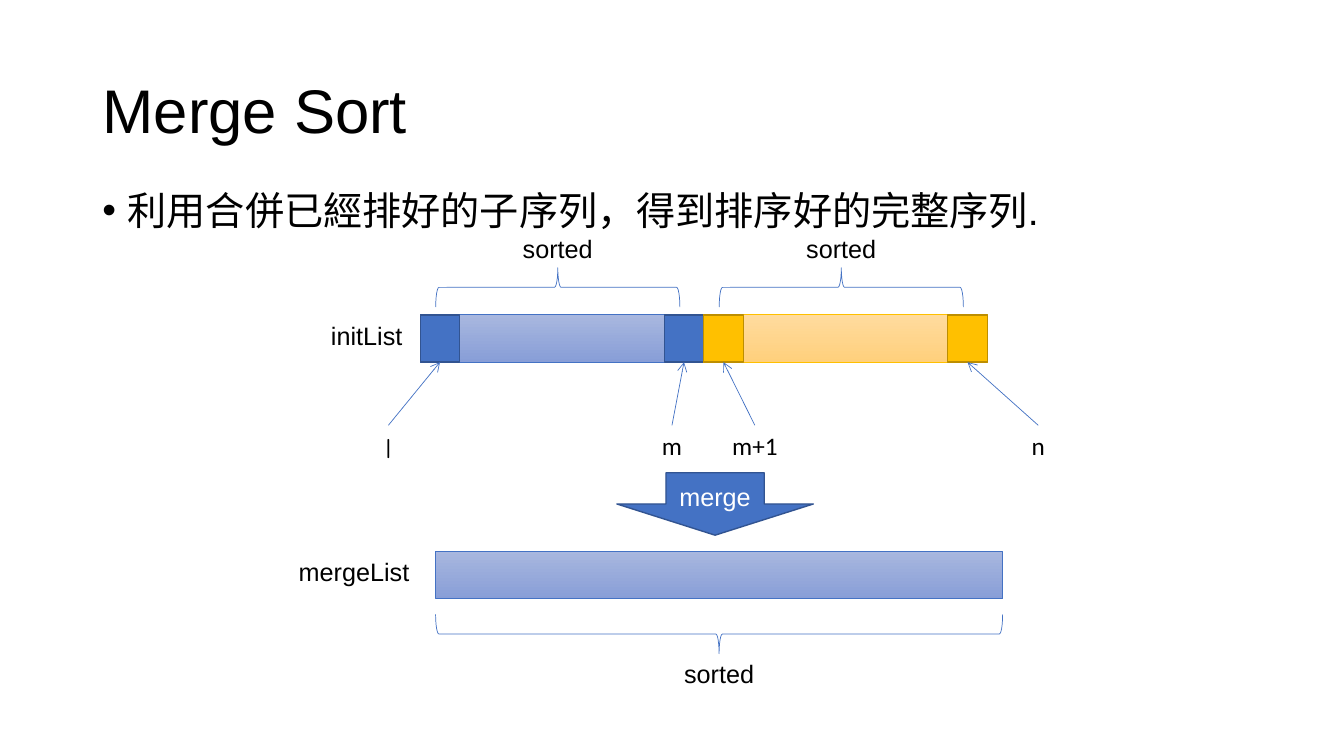
"""Build the Merge Sort slide: two sorted runs merged into one list."""
from lxml import etree
from pptx import Presentation
from pptx.dml.color import RGBColor
from pptx.enum import shapes, text
from pptx.oxml.ns import qn
from pptx.util import Pt

HEADING = "Merge Sort"
POINT = "利用合併已經排好的子序列，得到排序好的完整序列."
BLUE = {"cell": "4472C4", "edge": "325491", "shade": ("A8B7DF", "889ED7")}
GOLD = {"cell": "FFC000", "edge": "BD8E00", "shade": ("FFDB9E", "FFD07C")}
RUNS = [BLUE, GOLD]
INDEXES = [
    ("l", 277.4, 45, "Comic Neue", 20),
    ("m", 480, 45, "Calibri", 18),
    ("m+1", 539.2, 62, "Calibri", 18),
    ("n", 741.6, 50, "Calibri", 18),
]
LIST_LEFT, LIST_TOP, RUN_WIDTH, BAR_HEIGHT, CELL = 300.2, 224.9, 202.5, 33.8, 28.2
MERGED_LEFT, MERGED_TOP = 311.2, 393.8
BRACE_DEPTH, BRACE_SPAN = 28.1, 174.4
INDEX_TOP = 303.8
CENTER, RIGHT = text.PP_ALIGN.CENTER, text.PP_ALIGN.RIGHT
KIND = shapes.MSO_SHAPE


def rgb(value):
    return RGBColor.from_string(value)


def write(frame, words, size=18, font="Arial", color="000000", align=None):
    frame.text = words
    frame.word_wrap = True
    line = frame.paragraphs[0]
    line.alignment = align
    line.font.size, line.font.name = Pt(size), font
    line.font.color.rgb = rgb(color)
    return line


def fill_placeholder(holder, box, words, size, anchor):
    holder.left, holder.top, holder.width, holder.height = map(Pt, box)
    line = write(holder.text_frame, words, size, align=text.PP_ALIGN.LEFT)
    holder.text_frame.vertical_anchor = anchor
    line.line_spacing = 0.9
    return line


def label(words, left, top, width, align=CENTER, font="Arial", size=18):
    box = slide.shapes.add_textbox(Pt(left), Pt(top), Pt(width), Pt(29))
    write(box.text_frame, words, size, font, align=align)


def add_shape(kind, left, top, width, height, edge, weight=0.5):
    shape = slide.shapes.add_shape(kind, Pt(left), Pt(top), Pt(width), Pt(height))
    shape.shadow.inherit = False
    shape.line.color.rgb, shape.line.width = rgb(edge), Pt(weight)
    return shape


def add_solid(kind, left, top, width, height, hue):
    shape = add_shape(kind, left, top, width, height, hue["edge"], 1)
    shape.fill.solid()
    shape.fill.fore_color.rgb = rgb(hue["cell"])
    return shape


def add_bar(left, top, width, hue):
    bar = add_shape(KIND.RECTANGLE, left, top, width, BAR_HEIGHT, hue["cell"])
    bar.fill.gradient()
    bar.fill.gradient_angle = 270
    for stop, shade in zip(bar.fill.gradient_stops, hue["shade"]):
        stop.color.rgb = rgb(shade)


def add_brace(left, top, span, rotation):
    middle_x, middle_y = left + span / 2, top + BRACE_DEPTH / 2
    brace = add_shape(KIND.LEFT_BRACE, middle_x - BRACE_DEPTH / 2,
                      middle_y - span / 2, BRACE_DEPTH, span, BLUE["cell"])
    brace.fill.background()
    brace.rotation = rotation
    return middle_x


def add_pointer(start_x, start_y, end_x, end_y):
    pointer = slide.shapes.add_connector(
        shapes.MSO_CONNECTOR.STRAIGHT, *map(Pt, (start_x, start_y, end_x, end_y)))
    pointer.line.color.rgb, pointer.line.width = rgb(BLUE["cell"]), Pt(0.5)
    etree.SubElement(pointer.line._get_or_add_ln(), qn("a:tailEnd"), type="arrow")
    etree.SubElement(pointer._element.spPr, qn("a:effectLst"))


deck = Presentation()
deck.slide_width, deck.slide_height = Pt(960), Pt(540)
slide = deck.slides.add_slide(deck.slide_layouts[1])
title, body = slide.placeholders
fill_placeholder(title, (66, 28.8, 828, 104.4), HEADING, 44, text.MSO_ANCHOR.MIDDLE)
point = fill_placeholder(body, (66, 133.2, 828, 353.5), POINT, 28, text.MSO_ANCHOR.TOP)
point.space_before = Pt(10)
indent = point._p.get_or_add_pPr()
indent.set("marL", str(Pt(18)))
indent.set("indent", str(-Pt(18)))

cell_lefts = []
for i, hue in enumerate(RUNS):
    left = LIST_LEFT + i * RUN_WIDTH
    add_bar(left, LIST_TOP, RUN_WIDTH, hue)
    for cell_left in (left, left + RUN_WIDTH - CELL):
        add_solid(KIND.RECTANGLE, cell_left, LIST_TOP, CELL, BAR_HEIGHT, hue)
        cell_lefts.append(cell_left)
    middle = add_brace(MERGED_LEFT + i * RUN_WIDTH, 191.2, BRACE_SPAN, 90)
    label("sorted", middle - 36.7, 163.4, 73.4)

for (name, x, width, font, size), cell_left in zip(INDEXES, cell_lefts):
    label(name, x - width / 2, INDEX_TOP, width, font=font, size=size)
    add_pointer(x, INDEX_TOP, cell_left + CELL / 2, LIST_TOP + BAR_HEIGHT)

add_bar(MERGED_LEFT, MERGED_TOP, 2 * RUN_WIDTH, BLUE)
middle = add_brace(MERGED_LEFT, 438.8, 2 * RUN_WIDTH, 270)
label("sorted", middle - 36.7, 466.6, 73.4)
label("initList", 204.5, LIST_TOP, 90, RIGHT)
label("mergeList", 187.2, MERGED_TOP, 112.3, RIGHT)

merge = add_solid(KIND.DOWN_ARROW, 440.6, 337.7, 140.4, 44.6, BLUE)
write(merge.text_frame, "merge", color="FFFFFF", align=CENTER)
merge.text_frame.vertical_anchor = text.MSO_ANCHOR.MIDDLE

deck.save("out.pptx")
